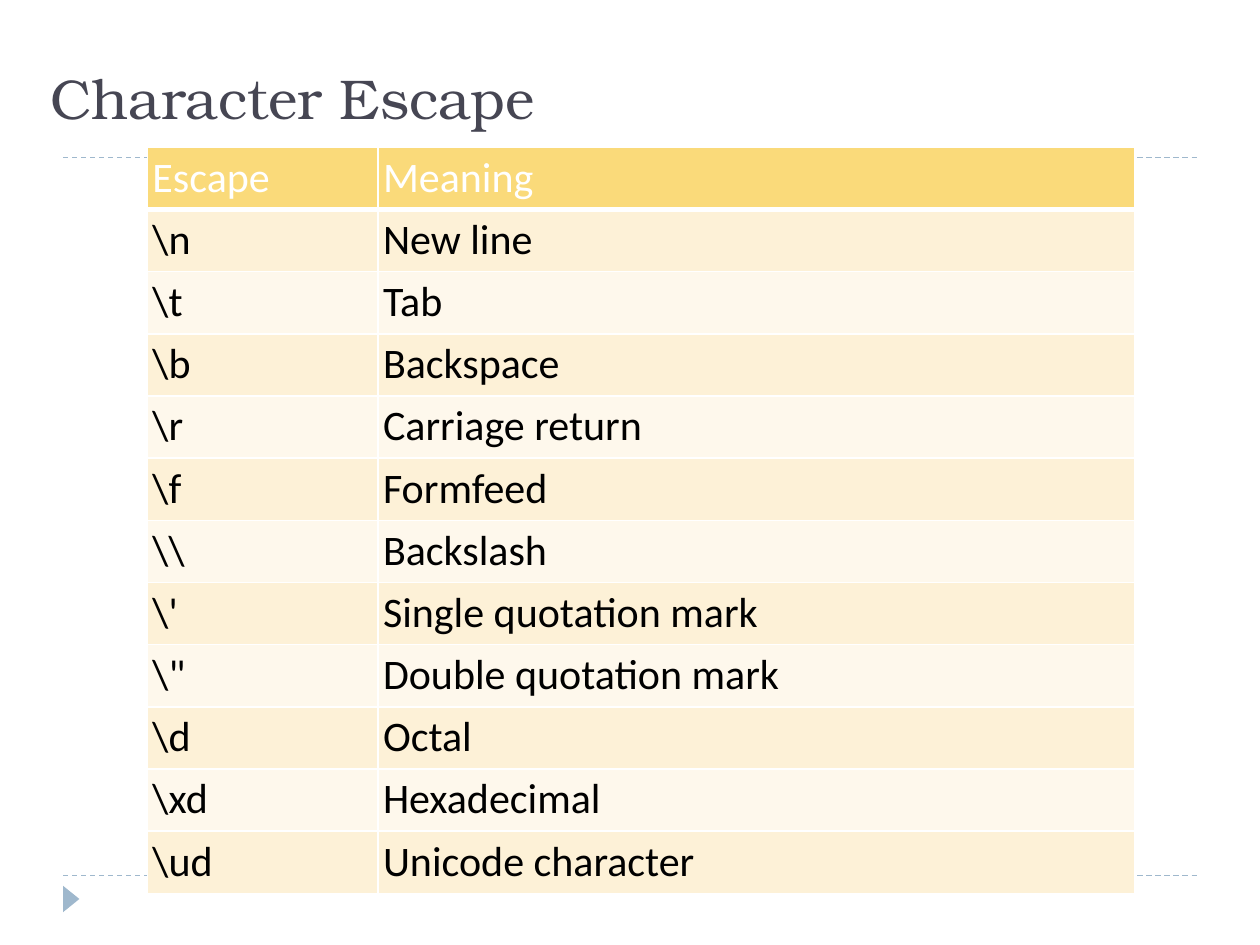
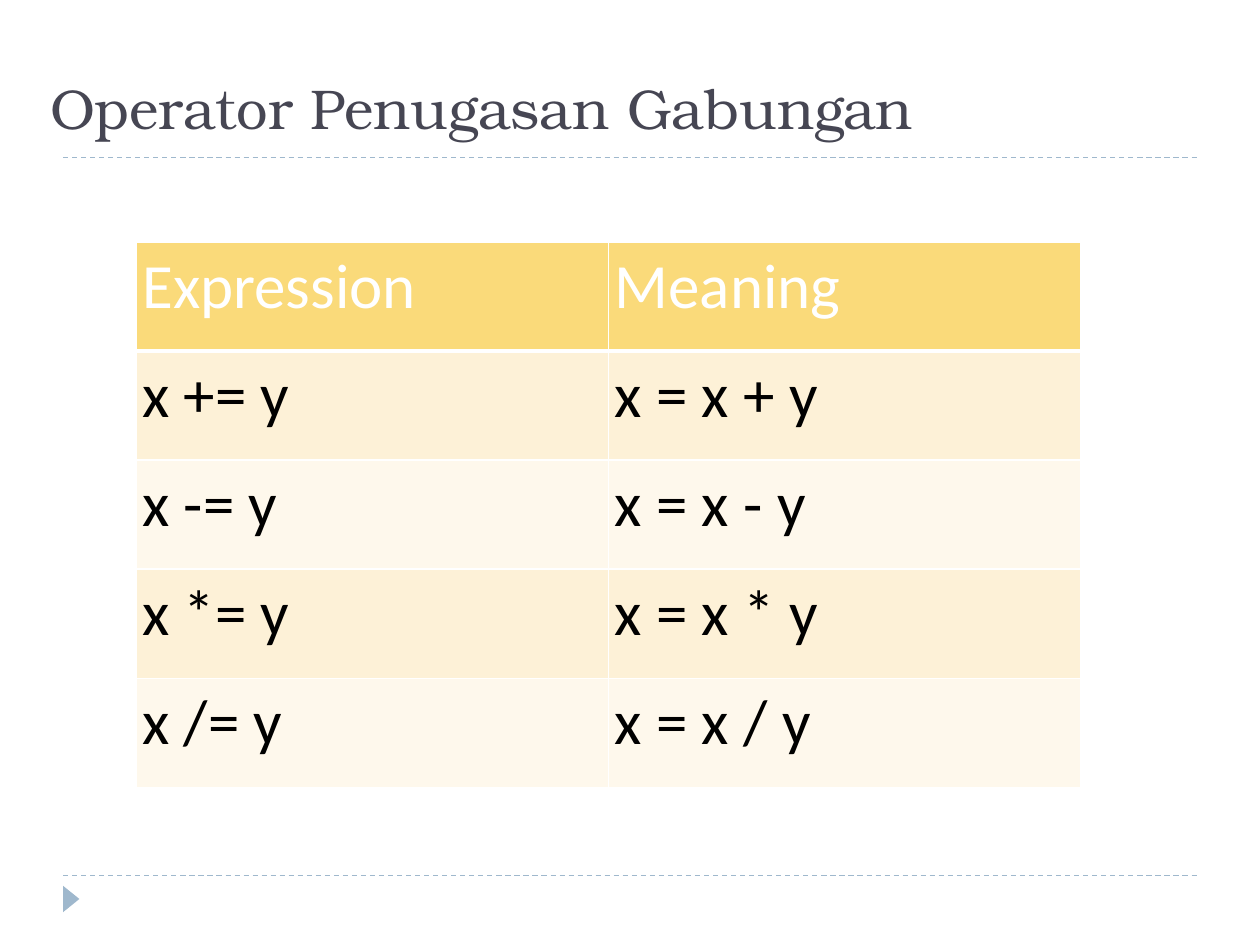
from pptx import Presentation, util as u
from pptx.dml.color import RGBColor
from pptx.enum import dml, shapes, text
from pptx.oxml import ns
from lxml import etree

COLOURS = {
    "title": "464653",
    "accent": "9FB8CD",
    "header": "FADA7A",
    "band_dark": "FDF1D7",
    "band_light": "FEF8EC",
    "white": "FFFFFF",
    "black": "000000",
}
TITLE_FONT = {"name": "TeX Gyre Bonum", "size": u.Pt(32)}
CELL_FONT = {"name": "Calibri", "bold": False}

ESCAPES = [
    ("Escape", "Meaning"),
    (r"\n", "New line"),
    (r"\t", "Tab"),
    (r"\b", "Backspace"),
    (r"\r", "Carriage return"),
    (r"\f", "Formfeed"),
    (r"\\", "Backslash"),
    (r"\'", "Single quotation mark"),
    (r'\"', "Double quotation mark"),
    (r"\d", "Octal"),
    (r"\xd", "Hexadecimal"),
    (r"\ud", "Unicode character"),
]
ASSIGNMENTS = [("Expression", "Meaning")] + [
    (f"x {sign}= y", f"x = x {sign} y") for sign in "+-*/"
]


def colour(name):
    return RGBColor.from_string(COLOURS[name])


def apply(target, values):
    for name, value in values.items():
        setattr(target, name, value)


def write(frame, words, font, ink):
    run = frame.paragraphs[0].add_run()
    run.text = words
    apply(run.font, font)
    run.font.color.rgb = colour(ink)


def add_rule(slide, left, top, width):
    rule = slide.shapes.add_connector(
        shapes.MSO_CONNECTOR.STRAIGHT,
        *map(u.Inches, (left, top, left + width, top)),
    )
    rule.line.color.rgb = colour("accent")
    apply(rule.line, {"width": u.Pt(0.75), "dash_style": dml.MSO_LINE.DASH})
    etree.SubElement(rule._element.spPr, ns.qn("a:effectLst"))


def add_frame(slide, left, top, width, height):
    for rule_top in (top + height, top):
        add_rule(slide, left, rule_top, width)
    marker = slide.shapes.add_shape(
        shapes.MSO_SHAPE.ISOSCELES_TRIANGLE,
        *map(u.Inches, (left - 0.04, top + height + 0.12, 0.21, 0.13)),
    )
    marker.rotation = 90
    marker.shadow.inherit = False
    marker.fill.solid()
    marker.fill.fore_color.rgb = colour("accent")
    marker.line.fill.background()


def add_title(slide, words, left, top, width, height):
    title = slide.shapes.add_textbox(*map(u.Inches, (left, top, width, height)))
    apply(title.text_frame, {
        "word_wrap": True,
        "vertical_anchor": text.MSO_ANCHOR.BOTTOM,
    })
    write(title.text_frame, words, TITLE_FONT, "title")


def add_borders(cell, bottom_width):
    properties = cell._tc.get_or_add_tcPr()
    for side, points in (("L", 1), ("R", 1), ("T", 1), ("B", bottom_width)):
        border = etree.SubElement(
            properties, ns.qn(f"a:ln{side}"), w=str(u.Pt(points)))
        fill = etree.SubElement(border, ns.qn("a:solidFill"))
        etree.SubElement(fill, ns.qn("a:srgbClr"), val=COLOURS["white"])


def add_grid(slide, rows, left, top, widths, height, size, inset):
    grid = slide.shapes.add_table(
        len(rows), len(widths),
        *map(u.Inches, (left, top, sum(widths), height)),
    ).table
    grid.horz_banding = False
    for column, width in zip(grid.columns, widths):
        column.width = u.Inches(width)
    sides = ("left", "top", "right", "bottom")
    margins = {f"margin_{side}": u.Inches(inset) for side in sides}
    for index, entries in enumerate(rows):
        grid.rows[index].height = u.Inches(height / len(rows))
        band = "band_dark" if index % 2 else "band_light"
        for cell, words in zip(grid.rows[index].cells, entries):
            add_borders(cell, 1 if index else 3)
            apply(cell, margins)
            cell.fill.solid()
            cell.fill.fore_color.rgb = colour(band if index else "header")
            write(cell.text_frame, words, {**CELL_FONT, "size": u.Pt(size)},
                  "black" if index else "white")


def add_table_slide(deck, title, title_top, rows, **layout):
    slide = deck.slides.add_slide(deck.slide_layouts[6])
    add_frame(slide, 0.5, 1.25, 9, 5.7)
    add_title(slide, title, 0.3, title_top, 9.36, 0.71)
    add_grid(slide, rows, **layout)


def main():
    deck = Presentation()
    apply(deck, {"slide_width": u.Inches(10), "slide_height": u.Inches(7.5)})
    add_table_slide(deck, "Character Escape", 0.38, ESCAPES,
                    left=1.17, top=1.17, widths=(1.83, 6.01), height=5.92,
                    size=24, inset=0.04)
    add_table_slide(deck, "Operator Penugasan Gabungan", 0.46, ASSIGNMENTS,
                    left=1.08, top=1.92, widths=(3.75, 3.75), height=4.33,
                    size=36, inset=0.05)
    deck.save("out.pptx")


if __name__ == "__main__":
    main()
